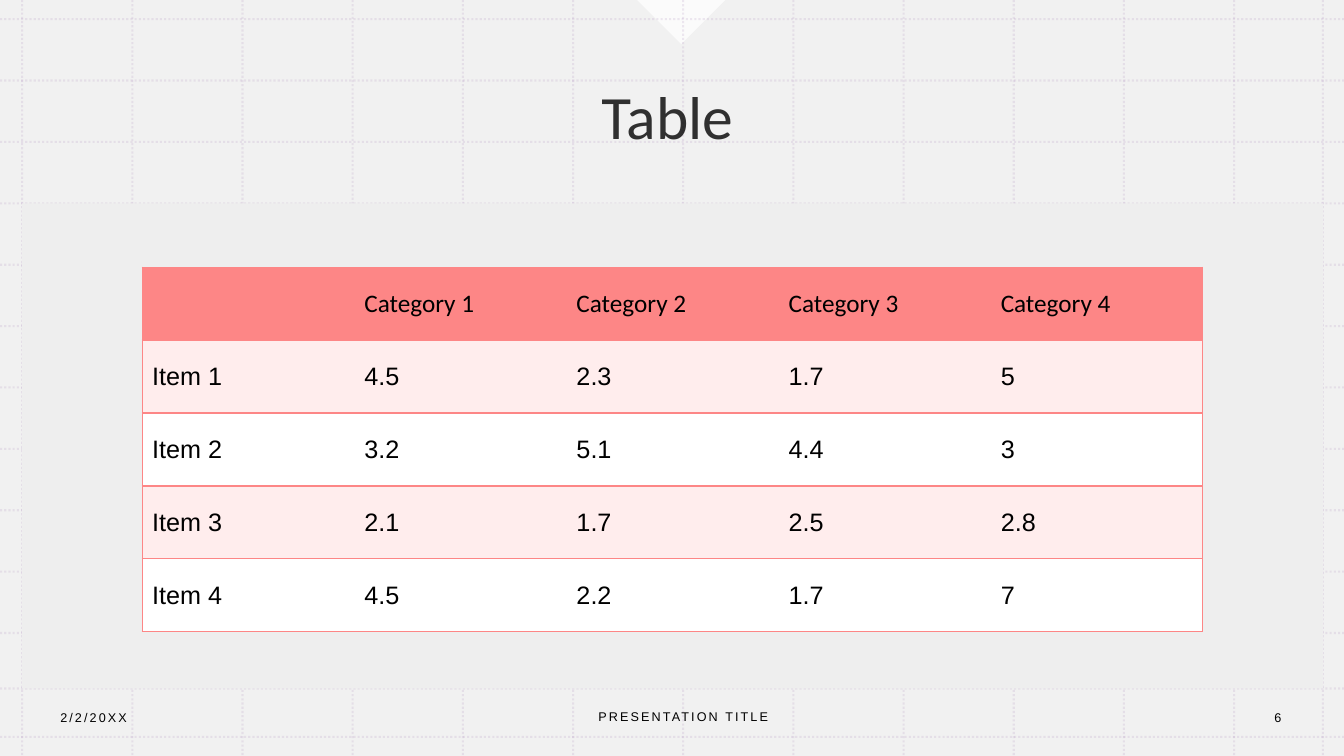
from lxml import etree
from pptx import Presentation, util as u
from pptx.dml.color import RGBColor
from pptx.enum import dml, shapes, text
from pptx.oxml.ns import qn

BLACK = RGBColor(0x00, 0x00, 0x00)
WHITE = RGBColor(0xFF, 0xFF, 0xFF)
GREY = RGBColor(0xEE, 0xEE, 0xEE)
LILAC = RGBColor(0xB4, 0x95, 0xC2)
CORAL = RGBColor(0xFD, 0x86, 0x86)
BLUSH = RGBColor(0xFF, 0xED, 0xED)

WIDTH, HEIGHT = 13.33, 7.5
# Background grid: equal steps from the first to the last regular line
LEFT, TOP = 0.22, 0.19
COLUMN = (12.24 - LEFT) / 11
ROW = (6.28 - TOP) / 10
RIGHT_EDGE, PANEL_BOTTOM, LAST_LINE = 13.12, 6.83, 7.31
PANEL_TOP = TOP + 3 * ROW

ROWS = [
    ["", "Category 1", "Category 2", "Category 3", "Category 4"],
    ["Item 1", "4.5", "2.3", "1.7", "5"],
    ["Item 2", "3.2", "5.1", "4.4", "3"],
    ["Item 3", "2.1", "1.7", "2.5", "2.8"],
    ["Item 4", "4.5", "2.2", "1.7", "7"],
]


def inches(*lengths):
    return [u.Inches(length) for length in lengths]


def set_opacity(element, percent):
    for color in element.iter(qn("a:srgbClr")):
        etree.SubElement(color, qn("a:alpha"), val=str(percent * 1000))


def add_run(paragraph, words, size, font, color=BLACK):
    run = paragraph.add_run()
    run.text = words
    run.font.size = u.Pt(size)
    run.font.name = font
    run.font.color.rgb = color
    return run


def add_block(slide, kind, box, color, opacity=100):
    shape = slide.shapes.add_shape(kind, *inches(*box))
    shape.shadow.inherit = False
    shape.fill.solid()
    shape.fill.fore_color.rgb = color
    shape.line.fill.background()
    if opacity < 100:
        set_opacity(shape._element, opacity)
    return shape


def add_grid_line(slide, x1, y1, x2, y2):
    line = slide.shapes.add_connector(
        shapes.MSO_CONNECTOR.STRAIGHT, *inches(x1, y1, x2, y2))
    line.line.color.rgb = LILAC
    line.line.width = u.Pt(1.5)
    line.line.dash_style = dml.MSO_LINE.ROUND_DOT
    set_opacity(line._element, 20)
    etree.SubElement(line._element.spPr, qn("a:effectLst"))


def add_backdrop(slide, left, top, width, height):
    rectangle = shapes.MSO_SHAPE.RECTANGLE
    add_block(slide, rectangle, (left, top, width, height), GREY, 80)
    # Pointer at the top edge
    side = 0.62
    center = left + LEFT + 6 * COLUMN - 0.02
    pointer = add_block(slide, shapes.MSO_SHAPE.RIGHT_TRIANGLE,
                        (center - side / 2, top - side / 2, side, side), WHITE, 75)
    pointer.rotation = 315
    # Dotted grid
    for x in [LEFT + i * COLUMN for i in range(12)] + [RIGHT_EDGE]:
        add_grid_line(slide, left + x, top, left + x, top + height)
    for y in [TOP + i * ROW for i in range(11)] + [PANEL_BOTTOM, LAST_LINE]:
        add_grid_line(slide, left, top + y, left + width, top + y)
    # Content panel
    add_block(slide, rectangle, (left + LEFT, top + PANEL_TOP, RIGHT_EDGE - LEFT,
                                 PANEL_BOTTOM - PANEL_TOP), GREY)


def add_title(slide, words, left, top, width, height):
    title = slide.shapes.title
    title.left, title.top, title.width, title.height = inches(left, top, width, height)
    frame = title.text_frame
    frame.auto_size = text.MSO_AUTO_SIZE.NONE
    frame.vertical_anchor = text.MSO_ANCHOR.MIDDLE
    paragraph = frame.paragraphs[0]
    paragraph.alignment = text.PP_ALIGN.CENTER
    paragraph.line_spacing = 0.9
    run = add_run(paragraph, words, 44, "Calibri")
    set_opacity(run._r, 80)
    # Bring the title in front of the backdrop
    slide.shapes._spTree.append(title._element)


def set_borders(cell, first, last):
    properties = cell._tc.get_or_add_tcPr()
    sides = [("a:lnL", first), ("a:lnR", last), ("a:lnT", True), ("a:lnB", True)]
    for position, (tag, visible) in enumerate(sides):
        border = etree.Element(qn(tag), w=str(u.Pt(1)))
        if visible:
            fill = etree.SubElement(border, qn("a:solidFill"))
            etree.SubElement(fill, qn("a:srgbClr"), val=str(CORAL))
        else:
            etree.SubElement(border, qn("a:noFill"))
        properties.insert(position, border)


def add_data_table(slide, rows, left, top, width, height):
    count = len(rows[0])
    table = slide.shapes.add_table(
        len(rows), count, *inches(left, top, width, height)).table
    for r, values in enumerate(rows):
        for c, value in enumerate(values):
            cell = table.cell(r, c)
            cell.vertical_anchor = text.MSO_ANCHOR.MIDDLE
            cell.fill.solid()
            cell.fill.fore_color.rgb = CORAL if r == 0 else BLUSH if r % 2 else WHITE
            set_borders(cell, c == 0, c == count - 1)
            if value:
                run = add_run(cell.text_frame.paragraphs[0], value, 18,
                              "Arial" if r else "Calibri")
                run.font.bold = False


def add_footer(slide, left, top, width, height):
    center, align = LEFT + 4 * COLUMN, text.PP_ALIGN
    parts = [
        ("2/2/20XX", left, top, 2.8, align.LEFT),
        ("PRESENTATION TITLE", center, top - 0.01, 4 * COLUMN, align.CENTER),
        ("6", left + width - 0.87, top, 0.87, align.CENTER),
    ]
    for words, x, y, part_width, alignment in parts:
        frame = slide.shapes.add_textbox(*inches(x, y, part_width, height)).text_frame
        frame.word_wrap = True
        frame.vertical_anchor = text.MSO_ANCHOR.MIDDLE
        paragraph = frame.paragraphs[0]
        paragraph.alignment = alignment
        run = add_run(paragraph, words, 9, "Arial")
        run.font._element.set("spc", "150")


def main():
    presentation = Presentation()
    presentation.slide_width, presentation.slide_height = inches(WIDTH, HEIGHT)
    slide = presentation.slides.add_slide(presentation.slide_layouts[5])
    add_backdrop(slide, 0, 0, WIDTH, HEIGHT)
    add_title(slide, "Table", 0.33, 0.37, 12.58, 1.64)
    add_data_table(slide, ROWS, 1.41, 2.65, 10.52, 3.62)
    add_footer(slide, 0.5, 6.92, 12.61, 0.4)
    presentation.save("out.pptx")


if __name__ == "__main__":
    main()
